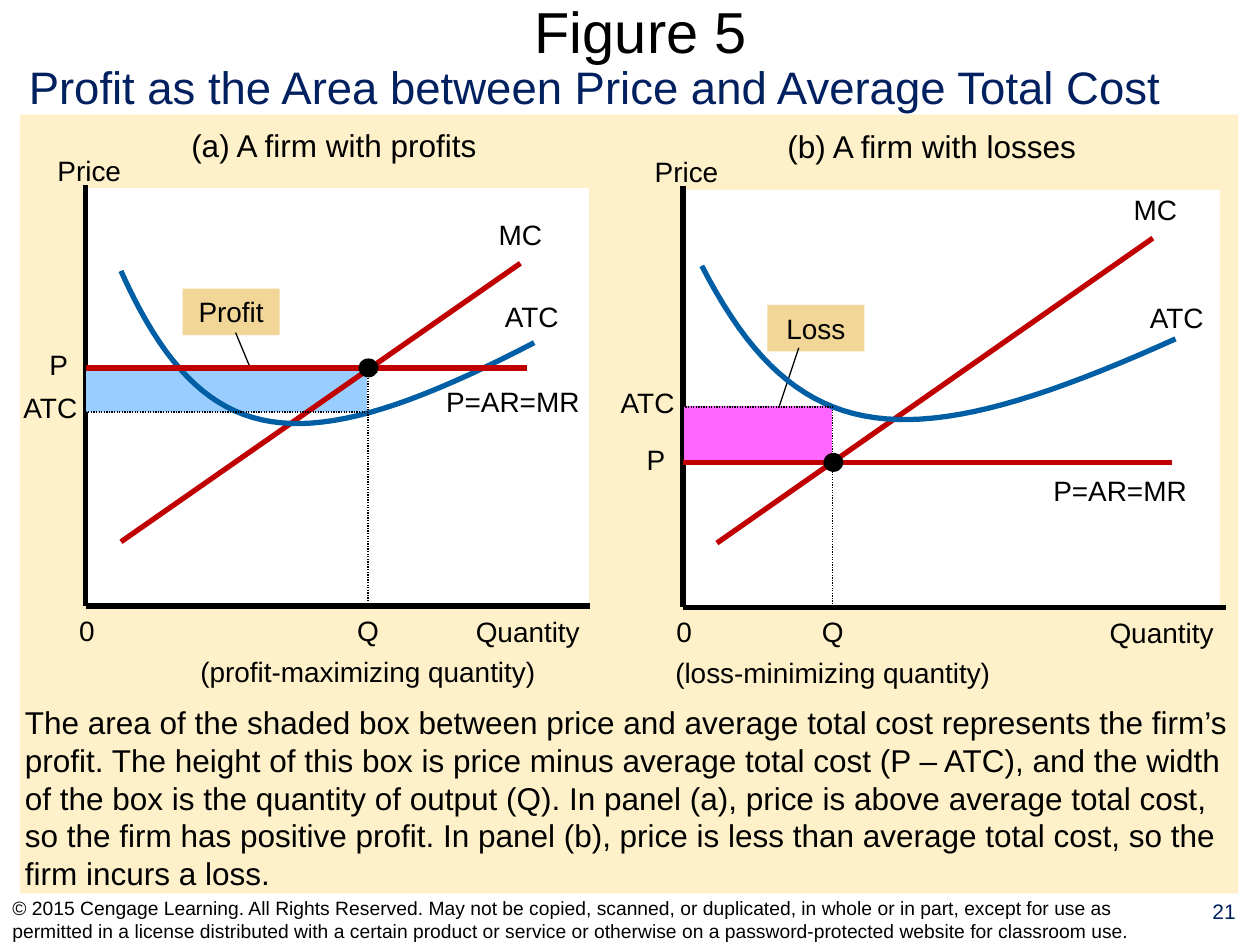
"""Build the slide that compares a firm with profits and a firm with losses."""
from dataclasses import dataclass

from lxml.etree import SubElement
from pptx import Presentation
from pptx.dml.color import RGBColor
from pptx.enum.dml import MSO_LINE
from pptx.enum.shapes import MSO_CONNECTOR, MSO_SHAPE
from pptx.enum.text import MSO_ANCHOR, MSO_AUTO_SIZE, PP_ALIGN
from pptx.oxml.ns import qn
from pptx.util import Inches, Pt

BLACK = RGBColor(0x00, 0x00, 0x00)
WHITE = RGBColor(0xFF, 0xFF, 0xFF)
NAVY = RGBColor(0x00, 0x20, 0x60)
CREAM = RGBColor(0xFE, 0xF0, 0xC8)
SAND = RGBColor(0xF2, 0xD6, 0x98)
RED = RGBColor(0xC0, 0x00, 0x00)
BLUE = RGBColor(0x00, 0x5E, 0xA4)
SKY = RGBColor(0x99, 0xCC, 0xFF)
PINK = RGBColor(0xFF, 0x66, 0xFF)

COLUMNS, ROWS = 100, 75
LABEL_HEIGHT = 3.7
CURVE_STEPS = 40


@dataclass
class Panel:
    heading: str
    heading_box: tuple
    axis: float
    base: float
    plot_width: float
    axis_end: float
    quantity_left: float
    quantity: float
    quantity_note: str
    price: float
    cost: float
    area_color: RGBColor
    callout: str
    callout_at: tuple
    pointer: tuple
    marginal_cost: tuple
    marginal_label: tuple
    cost_curve: tuple
    cost_label: tuple
    price_end: float
    revenue_label: tuple


PANELS = [
    Panel("(a) A firm with profits", (11.4, 30.2), 6.8, 48.1, 39.6, 46.8, 36.8,
          29.2, "(profit-maximizing quantity)", 29.2, 32.7, SKY,
          "Profit ", (14.5, 22.9), (18.7, 26.4, 20.7, 31.2),
          (9.6, 43, 41.3, 20.9), (38.6, 16.8),
          ((9.6, 21.5), (16.2, 36.2), (23.9, 36.8), (42.4, 27.2)), (39, 23.3),
          41.8, (34.4, 30)),
    Panel("(b) A firm with losses", (58.8, 30.3), 54.2, 48.2, 42.3, 97.3, 87.1,
          66.1, "(loss-minimizing quantity)", 36.7, 32.3, PINK,
          "Loss", (60.9, 24.2), (63.4, 27.6, 61.3, 33.9),
          (56.9, 43.1, 91.5, 18.9), (89, 14.8),
          ((55.7, 21.1), (63.3, 35.9), (72.1, 36.5), (93.3, 26.9)), (90.2, 23.4),
          93, (82.6, 37.1)),
]


class FigureDeck:
    def __init__(self):
        self.deck = Presentation()
        self.deck.slide_width, self.deck.slide_height = Inches(10), Inches(7.5)
        self.page = self.deck.slides.add_slide(self.deck.slide_layouts[5])

    def x(self, columns):
        return round(self.deck.slide_width * columns / COLUMNS)

    def y(self, rows):
        return round(self.deck.slide_height * rows / ROWS)

    def area(self, left, top, width, height):
        return self.x(left), self.y(top), self.x(width), self.y(height)

    def fill_text(self, shape, lines, size, color=BLACK, align=PP_ALIGN.CENTER,
                  anchor=MSO_ANCHOR.TOP, wrap=True):
        frame = shape.text_frame
        frame.word_wrap = wrap
        frame.auto_size = MSO_AUTO_SIZE.NONE
        frame.vertical_anchor = anchor
        for index, line in enumerate(lines):
            para = frame.add_paragraph() if index else frame.paragraphs[0]
            para.alignment = align
            para.space_before = Pt(size / 4 if index else 0)
            span = para.add_run()
            span.text = line
            span.font.name = "Arial"
            span.font.size = Pt(size)
            span.font.color.rgb = color

    def title(self, text, *place):
        box = self.page.shapes.title
        box.left, box.top, box.width, box.height = self.area(*place)
        self.fill_text(box, [text], 33, anchor=MSO_ANCHOR.MIDDLE)

    def text(self, lines, place, size, **style):
        box = self.page.shapes.add_textbox(*self.area(*place))
        self.fill_text(box, lines, size, **style)

    def label(self, text, left, top, width, align=PP_ALIGN.CENTER):
        self.text([text], (left, top, width, LABEL_HEIGHT), 16, align=align, wrap=False)

    def shape(self, kind, place, fill, border=False):
        box = self.page.shapes.add_shape(kind, *self.area(*place))
        box.shadow.inherit = False
        box.fill.solid()
        box.fill.fore_color.rgb = fill
        if border:
            box.line.color.rgb = fill
            box.line.width = Pt(2)
        else:
            box.line.fill.background()
        return box

    def line(self, x1, y1, x2, y2, color=BLACK, width=3, dotted=False):
        line = self.page.shapes.add_connector(
            MSO_CONNECTOR.STRAIGHT, self.x(x1), self.y(y1), self.x(x2), self.y(y2))
        line.line.color.rgb = color
        line.line.width = Pt(width)
        if dotted:
            line.line.dash_style = MSO_LINE.ROUND_DOT
        SubElement(line._element.spPr, qn("a:effectLst"))

    def curve(self, controls, color):
        points = []
        for step in range(CURVE_STEPS + 1):
            t = step / CURVE_STEPS
            weights = ((1 - t) ** 3, 3 * t * (1 - t) ** 2, 3 * t ** 2 * (1 - t), t ** 3)
            column, row = (sum(w * v for w, v in zip(weights, axis)) for axis in zip(*controls))
            points.append((self.x(column), self.y(row)))
        builder = self.page.shapes.build_freeform(*points[0])
        builder.add_line_segments(points[1:], close=False)
        curve = builder.convert_to_shape()
        curve.shadow.inherit = False
        curve.fill.background()
        curve.line.color.rgb = color
        curve.line.width = Pt(3)

    def panel(self, panel):
        axis, base, quantity = panel.axis, panel.base, panel.quantity
        price, cost = panel.price, panel.cost
        upper, inner = min(price, cost), axis + 0.2
        left, width = panel.heading_box

        self.shape(MSO_SHAPE.RECTANGLE, (inner, base - 33, panel.plot_width, 32.9), WHITE, True)
        self.line(axis, base - 33.4, axis, base)
        self.label("Price", axis - 3.2, base - 36.4, 7, PP_ALIGN.RIGHT)
        self.line(axis, base, panel.axis_end, base)
        self.label("Quantity ", panel.quantity_left, base + 0.2, 10.8)
        self.label("0", axis - 1.5, base + 0.1, 3.2)
        self.text([panel.heading], (left, base - 38.6, width, 4), 18)

        callout = self.shape(MSO_SHAPE.RECTANGLE, (*panel.callout_at, 7.7, LABEL_HEIGHT), SAND)
        self.fill_text(callout, [panel.callout], 16)
        self.line(*panel.pointer, width=0.75)
        self.shape(MSO_SHAPE.RECTANGLE,
                   (inner, upper + 0.1, quantity - inner - 0.2, abs(price - cost) - 0.2),
                   panel.area_color, True)

        self.line(*panel.marginal_cost, color=RED)
        self.label("MC", *panel.marginal_label, 5.4)
        self.curve(panel.cost_curve, BLUE)
        self.label("ATC", *panel.cost_label, 6.4)
        self.line(axis, price, panel.price_end, price, color=RED)
        self.label("P=AR=MR", *panel.revenue_label, 12.6)
        self.label("P", axis - 3.9, price - 2.1, 3.5)

        self.text(["Q", panel.quantity_note], (quantity - 14, base + 0.1, 28, 6.9), 16, wrap=False)
        self.line(quantity, upper, quantity, base - 0.3, width=0.75, dotted=True)
        self.shape(MSO_SHAPE.OVAL, (quantity - 0.75, price - 0.75, 1.6, 1.5), BLACK)
        self.line(inner, cost, quantity, cost, width=0.75, dotted=True)
        self.label("ATC", axis - 6, cost - 2.2, 6.4)


def main():
    figure = FigureDeck()
    figure.title("Figure 5", 3.5, 0, 94.7, 4.9)
    figure.shape(MSO_SHAPE.RECTANGLE, (1.6, 9.1, 96.7, 61.8), CREAM)
    figure.text(["21"], (94.3, 70.8, 5.7, 4.1), 12, color=NAVY)
    figure.text(["© 2015 Cengage Learning. All Rights Reserved. May not be copied, scanned, or "
                 "duplicated, in whole or in part, except for use as permitted in a license "
                 "distributed with a certain product or service or otherwise on a "
                 "password-protected website for classroom use."],
                (0, 71, 94.2, 4), 11, align=PP_ALIGN.LEFT, anchor=MSO_ANCHOR.MIDDLE)
    figure.text(["Profit as the Area between Price and Average Total Cost"],
                (1.3, 4.2, 92.8, 5.4), 26, color=NAVY, align=PP_ALIGN.LEFT, wrap=False)
    figure.text(["The area of the shaded box between price and average total cost represents the "
                 "firm’s profit. The height of this box is price minus average total cost "
                 "(P – ATC), and the width of the box is the quantity of output (Q). In panel "
                 "(a), price is above average total cost, so the firm has positive profit. In "
                 "panel (b), price is less than average total cost, so the firm incurs a loss."],
                (1, 55.3, 98, 16), 18, align=PP_ALIGN.LEFT)
    for panel in PANELS:
        figure.panel(panel)
    figure.deck.save("out.pptx")


if __name__ == "__main__":
    main()
